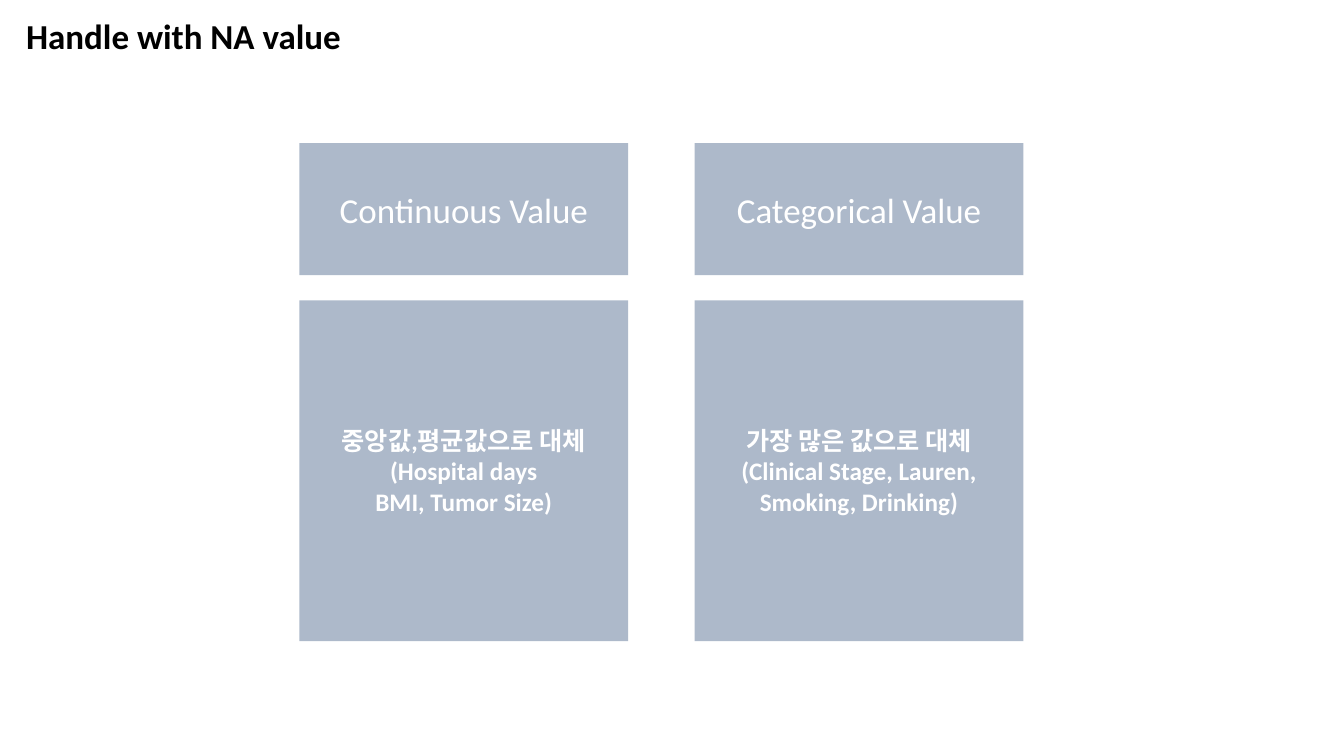
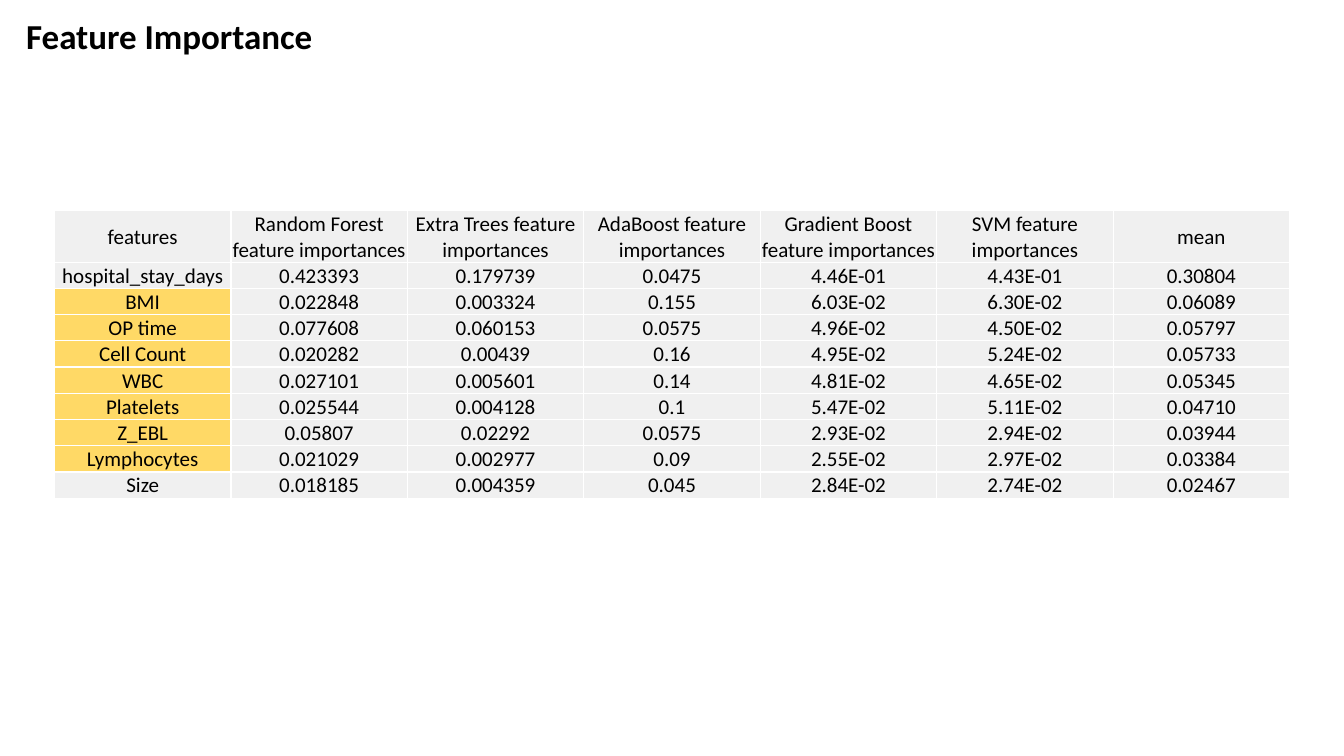
import pptx
import pptx.util
import pptx.dml.color
import pptx.enum.shapes
import pptx.enum.text
import pptx.oxml

PX = 9144  # 100 px to the inch
FONT = "Calibri"
HUES = {"ink": "000000", "white": "FFFFFF", "panel": "ADB9CA",
        "cell": "F0F0F0", "mark": "FFD966"}
ALIGN = pptx.enum.text.PP_ALIGN
ANCHOR = pptx.enum.text.MSO_ANCHOR

PANELS = [
    ("Continuous Value",
     "중앙값,평균값으로 대체\n(Hospital days\nBMI, Tumor Size)"),
    ("Categorical Value",
     "가장 많은 값으로 대체\n(Clinical Stage, Lauren, Smoking, Drinking)"),
]

MODELS = ["Random Forest", "Extra Trees", "AdaBoost", "Gradient Boost", "SVM"]
HEAD = ["features", *(f"{name} feature importances" for name in MODELS), "mean"]
SCORES = [
    ["hospital_stay_days", "0.423393", "0.179739", "0.0475", "4.46E-01", "4.43E-01", "0.30804"],
    ["BMI", "0.022848", "0.003324", "0.155", "6.03E-02", "6.30E-02", "0.06089"],
    ["OP time", "0.077608", "0.060153", "0.0575", "4.96E-02", "4.50E-02", "0.05797"],
    ["Cell Count", "0.020282", "0.00439", "0.16", "4.95E-02", "5.24E-02", "0.05733"],
    ["WBC", "0.027101", "0.005601", "0.14", "4.81E-02", "4.65E-02", "0.05345"],
    ["Platelets", "0.025544", "0.004128", "0.1", "5.47E-02", "5.11E-02", "0.04710"],
    ["Z_EBL", "0.05807", "0.02292", "0.0575", "2.93E-02", "2.94E-02", "0.03944"],
    ["Lymphocytes", "0.021029", "0.002977", "0.09", "2.55E-02", "2.97E-02", "0.03384"],
    ["Size", "0.018185", "0.004359", "0.045", "2.84E-02", "2.74E-02", "0.02467"],
]
MARKED = range(2, 9)  # table rows whose feature name is highlighted


def px(*sizes):
    return [pptx.util.Emu(size * PX) for size in sizes]


def hue(name):
    return pptx.dml.color.RGBColor.from_string(HUES[name])


def paint(fill, name):
    fill.solid()
    fill.fore_color.rgb = hue(name)


def write(frame, text, size, color, bold=False, align=ALIGN.CENTER):
    frame.text = text
    for para in frame.paragraphs:
        para.alignment = align
        for run in para.runs:
            font = run.font
            font.name, font.bold = FONT, bold
            font.size = pptx.util.Pt(size)
            font.color.rgb = hue(color)


def start(deck, title, width):
    """Add a slide with its title in the top left corner."""
    slide = deck.slides.add_slide(deck.slide_layouts[5])
    shape = slide.shapes.title
    shape.left, shape.top, shape.width, shape.height = px(16, 9, width, 52)
    frame = shape.text_frame
    write(frame, title, 25, "ink", True, ALIGN.LEFT)
    frame.word_wrap = False
    frame.vertical_anchor = ANCHOR.TOP
    frame.auto_size = pptx.enum.text.MSO_AUTO_SIZE.SHAPE_TO_FIT_TEXT
    return slide


def block(slide, box, text, size, bold=False):
    shape = slide.shapes.add_shape(
        pptx.enum.shapes.MSO_SHAPE.RECTANGLE, *px(*box))
    shape.shadow.inherit = False
    paint(shape.fill, "panel")
    shape.line.fill.background()
    frame = shape.text_frame
    frame.word_wrap = True
    frame.vertical_anchor = ANCHOR.MIDDLE
    write(frame, text, size, "white", bold)


def panel(slide, box, head, body):
    """Stack a heading block over a body block."""
    left, top, width, height = box
    cap, gap = 131, 25
    block(slide, (left, top, width, cap), head, 25)
    block(slide, (left, top + cap + gap, width, height - cap - gap),
          body, 18, True)


def edge(cell):
    """Draw a white line on each side of a cell."""
    props = cell._tc.get_or_add_tcPr()
    space = pptx.oxml.ns.nsdecls("a")
    for side in "LRTB":
        props.append(pptx.oxml.parse_xml(
            f'<a:ln{side} {space} w="12700"><a:solidFill>'
            f'<a:srgbClr val="{HUES["white"]}"/></a:solidFill></a:ln{side}>'))


def grid(slide, box, rows):
    left, top, width, height = box
    table = slide.shapes.add_table(
        len(rows), len(rows[0]), *px(left, top, width, height)).table
    table.first_row = table.horz_banding = False
    for col in table.columns:
        col.width = px(width // len(rows[0]))[0]
    for r, row in enumerate(rows):
        table.rows[r].height = px(25 if r else 50)[0]
        for c, text in enumerate(row):
            cell = table.cell(r, c)
            edge(cell)
            paint(cell.fill, "mark" if c == 0 and r in MARKED else "cell")
            cell.vertical_anchor = ANCHOR.MIDDLE
            (cell.margin_left, cell.margin_top, cell.margin_right,
             cell.margin_bottom) = px(1, 1, 1, 0)
            write(cell.text_frame, text, 15, "ink")


def main():
    deck = pptx.Presentation()
    deck.slide_width, deck.slide_height = px(1333, 750)

    slide = start(deck, "Handle with NA value", 336)
    wide, gap = 326, 66
    for i, (head, body) in enumerate(PANELS):
        panel(slide, (297 + i * (wide + gap), 142, wide, 494), head, body)

    slide = start(deck, "Feature Importance", 307)
    grid(slide, (54, 209, 1225, 275), [HEAD, *SCORES])

    deck.save("out.pptx")


if __name__ == "__main__":
    main()
